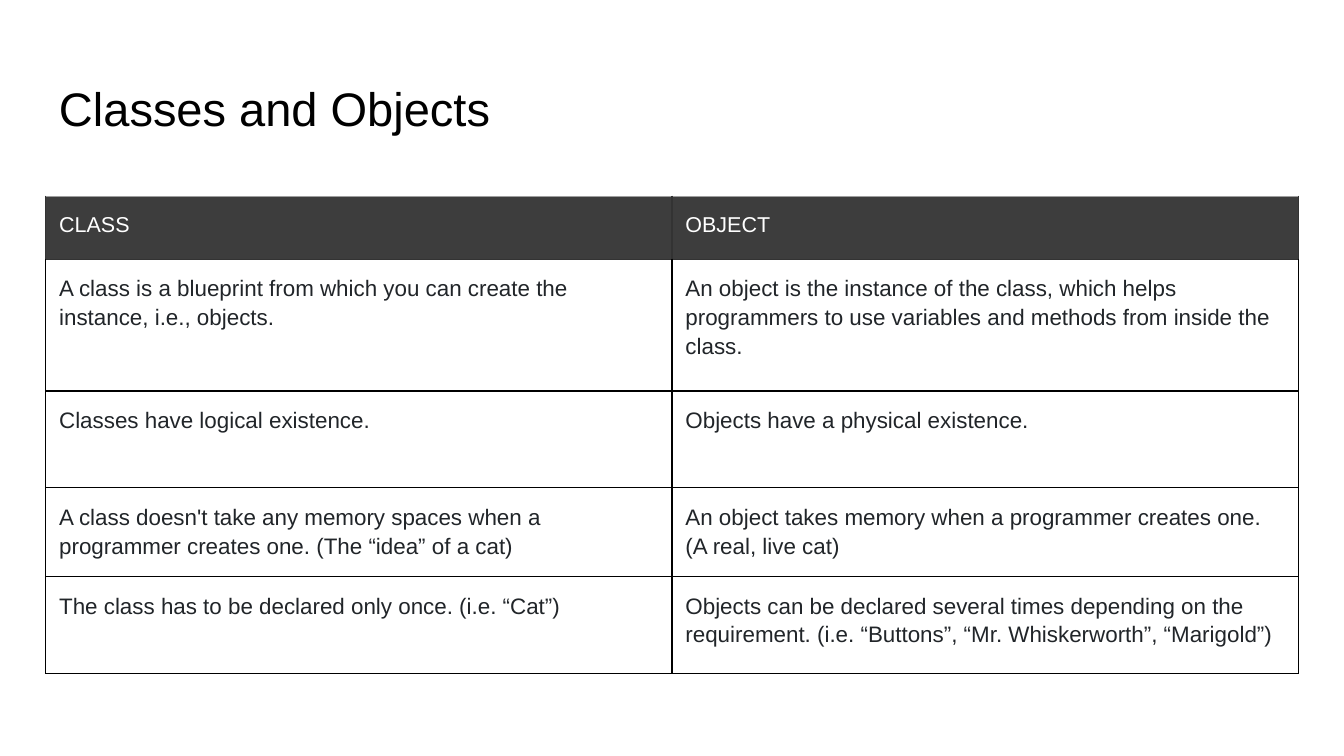
from dataclasses import dataclass

from lxml import etree
from pptx import Presentation, util as u
from pptx.dml.color import RGBColor
from pptx.enum import text
from pptx.oxml import ns

PX = u.Inches(1) // 200  # 200 px to the inch
INSET = 20
LEFT = 68
COLUMN_WIDTH = 932
FRAME_SIDE = 656
FONT = "Arial"
COLORS = {
    "title": "000000",
    "header_fill": "3D3D3D",
    "header_text": "FFFFFF",
    "header_top": "9E9E9E",
    "header_edge": "333333",
    "body_text": "212529",
    "body_edge": "000000",
}


@dataclass(frozen=True)
class Row:
    height: int
    texts: tuple[str, str]
    space_after: int = 11


ROWS = (
    Row(94, ("CLASS", "OBJECT")),
    Row(196, (
        "A class is a blueprint from which you can create the instance, i.e., objects.",
        "An object is the instance of the class, which helps programmers to use "
        "variables and methods from inside the class.",
    )),
    Row(144, (
        "Classes have logical existence.",
        "Objects have a physical existence.",
    ), space_after=0),
    Row(94, (
        "A class doesn't take any memory spaces when a programmer creates one. "
        "(The “idea” of a cat)",
        "An object takes memory when a programmer creates one. (A real, live cat)",
    )),
    Row(144, (
        "The class has to be declared only once. (i.e. “Cat”)",
        "Objects can be declared several times depending on the requirement. "
        "(i.e. “Buttons”, “Mr. Whiskerworth”, “Marigold”)",
    )),
)


def px(length: int) -> u.Emu:
    return u.Emu(length * PX)


def set_insets(target) -> None:
    target.margin_left = target.margin_right = px(INSET)
    target.margin_top = target.margin_bottom = px(INSET)


def format_runs(paragraph, size: float, color: str) -> None:
    for run in paragraph.runs:
        run.font.name = FONT
        run.font.size = u.Pt(size)
        run.font.color.rgb = RGBColor.from_string(COLORS[color])


def set_borders(cell, edges: dict[str, str]) -> None:
    """Draw 0.75 pt edges; the keys run in schema order: L, R, T, B."""
    properties = cell._tc.get_or_add_tcPr()
    for index, (side, color) in enumerate(edges.items()):
        line = etree.Element(ns.qn(f"a:ln{side}"), w=str(u.Pt(0.75)))
        fill = etree.SubElement(line, ns.qn("a:solidFill"))
        etree.SubElement(fill, ns.qn("a:srgbClr"), val=COLORS[color])
        properties.insert(index, line)


def add_title(slide, title: str) -> None:
    shape = slide.shapes.add_textbox(px(LEFT), px(98), px(2 * COLUMN_WIDTH), px(126))
    frame = shape.text_frame
    frame.word_wrap = True
    frame.vertical_anchor = text.MSO_ANCHOR.MIDDLE
    set_insets(frame)
    frame.text = title
    format_runs(frame.paragraphs[0], 25.2, "title")


def fill_cell(cell, content: str, row: Row, row_index: int) -> None:
    is_header = row_index == 0
    set_insets(cell)
    cell.text_frame.text = content
    paragraph = cell.text_frame.paragraphs[0]
    paragraph.line_spacing = 1.15
    paragraph.space_after = u.Pt(row.space_after)
    if is_header:
        format_runs(paragraph, 11.5, "header_text")
        cell.fill.solid()
        cell.fill.fore_color.rgb = RGBColor.from_string(COLORS["header_fill"])
    else:
        format_runs(paragraph, 12, "body_text")
        cell.fill.background()
    edge = "header_edge" if is_header else "body_edge"
    top = {0: "header_top", 1: "header_edge"}.get(row_index, "body_edge")
    set_borders(cell, {"L": edge, "R": edge, "T": top, "B": edge})


def add_comparison(slide, rows: tuple[Row, ...]) -> None:
    frame = slide.shapes.add_table(
        len(rows), len(rows[0].texts), px(LEFT), px(292), px(FRAME_SIDE), px(FRAME_SIDE)
    )
    table = frame.table
    table.horz_banding = False
    table.first_row = False
    for column in table.columns:
        column.width = px(COLUMN_WIDTH)
    for row_index, row in enumerate(rows):
        table.rows[row_index].height = px(row.height)
        for column_index, content in enumerate(row.texts):
            fill_cell(table.cell(row_index, column_index), content, row, row_index)
    # Resizing rows and columns resizes the frame, so its size is set last.
    frame.width = frame.height = px(FRAME_SIDE)


def main() -> None:
    presentation = Presentation()
    presentation.slide_width = px(2000)
    presentation.slide_height = px(1125)
    slide = presentation.slides.add_slide(presentation.slide_layouts[6])
    add_title(slide, "Classes and Objects")
    add_comparison(slide, ROWS)
    presentation.save("out.pptx")


if __name__ == "__main__":
    main()
